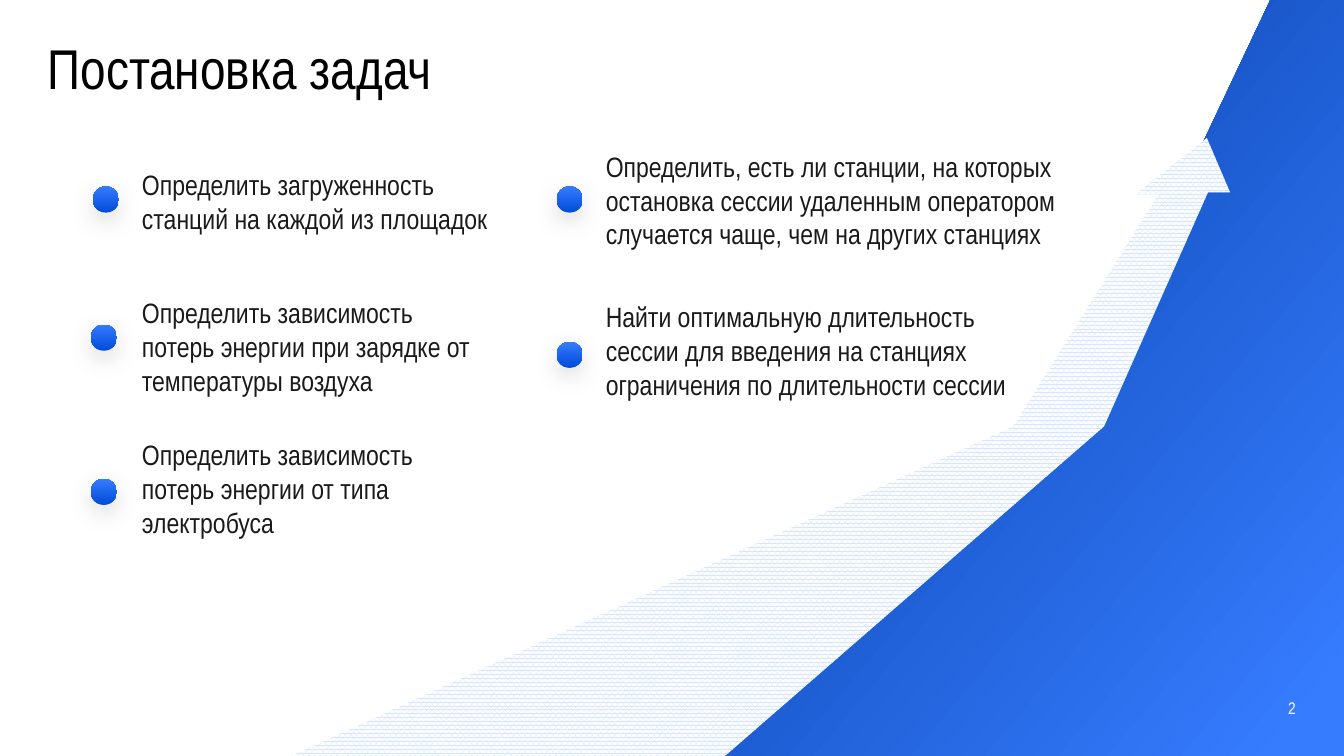
"""Build the task list slide with a rising arrow."""
from lxml import etree
from pptx import Presentation
from pptx import util as u
from pptx.dml.color import RGBColor
from pptx.enum import dml, shapes, text
from pptx.oxml import ns

FONT = "Arial Narrow"
TITLE = "Постановка задач"
TASKS = [
    ("Определить загруженность станций на каждой из площадок",
     (1.31, 1.61, 3.68, 0.77), (0.92, 1.85)),
    ("Определить зависимость потерь энергии при зарядке от температуры воздуха",
     (1.31, 2.88, 3.48, 1.11), (0.9, 3.22)),
    ("Определить зависимость потерь энергии от типа электробуса",
     (1.31, 4.29, 3.48, 1.11), (0.9, 4.75)),
    ("Определить, есть ли станции, на которых остановка сессии "
     "удаленным оператором случается чаще, чем на других станциях",
     (5.91, 1.43, 4.99, 1.11), (5.52, 1.85)),
    ("Найти оптимальную длительность сессии для введения на станциях "
     "ограничения по длительности сессии",
     (5.91, 2.92, 4.32, 1.11), (5.52, 3.39)),
]
FIELD = [(12.6, 0), (13.33, 0), (13.33, 7.5), (6.58, 7.5), (10.61, 4.21)]
ARROW = [(11.97, 1.37), (12.2, 1.91), (11.98, 1.91), (10.95, 4.23), (7.19, 7.5),
         (2.89, 7.5), (10.05, 4.23), (11.49, 1.93), (11.26, 1.93)]
DOT = 0.26


def color(code):
    return RGBColor.from_string(code)


def place(shape, box):
    shape.left, shape.top, shape.width, shape.height = map(u.Inches, box)


def write(shape, words, size=20, ink="1A1A1A", align=text.PP_ALIGN.LEFT,
          anchor=text.MSO_ANCHOR.MIDDLE, lead=1.0):
    frame = shape.text_frame
    frame.word_wrap = True
    frame.auto_size = text.MSO_AUTO_SIZE.NONE
    frame.vertical_anchor = anchor
    para = frame.paragraphs[0]
    para.alignment = align
    para.line_spacing = lead
    run = para.add_run()
    run.text = words
    run.font.name = FONT
    run.font.size = u.Pt(size)
    run.font.color.rgb = color(ink)


def label(slide, words, box, **style):
    shape = slide.shapes.add_textbox(*map(u.Inches, box))
    write(shape, words, **style)


def blend(shape, stops, angle):
    shape.fill.gradient()
    shape.fill.gradient_angle = angle
    for stop, (pos, code) in zip(shape.fill.gradient_stops, stops):
        stop.position = pos
        stop.color.rgb = color(code)


def outline(slide, points):
    spots = [(u.Inches(x), u.Inches(y)) for x, y in points]
    form = slide.shapes.build_freeform(*spots[0])
    form.add_line_segments(spots[1:])
    shape = form.convert_to_shape()
    shape.line.fill.background()
    shape.shadow.inherit = False
    return shape


def shade(shape):
    shape.shadow.inherit = False
    effects = shape.element.spPr.find(ns.qn("a:effectLst"))
    outer = etree.SubElement(effects, ns.qn("a:outerShdw"), blurRad=str(u.Pt(16)),
                             dist=str(u.Pt(6)), dir=str(91 * 60000),
                             algn="t", rotWithShape="0")
    tint = etree.SubElement(outer, ns.qn("a:srgbClr"), val="BFBFBF")
    etree.SubElement(tint, ns.qn("a:alpha"), val="51000")


def main():
    deck = Presentation()
    deck.slide_width, deck.slide_height = u.Inches(13.33), u.Inches(7.5)
    slide = deck.slides.add_slide(deck.slide_layouts[5])

    blend(outline(slide, FIELD), [(0.05, "367CFF"), (1, "00369A")], 140)
    arrow = outline(slide, ARROW)
    arrow.fill.patterned()
    arrow.fill.pattern = dml.MSO_PATTERN.PERCENT_75
    arrow.fill.fore_color.rgb = color("D7E5FF")
    arrow.fill.back_color.rgb = color("FFFFFF")

    title = slide.shapes.title
    place(title, (0.37, 0.35, 11.5, 0.71))
    write(title, TITLE, size=40, ink="000000", lead=0.9)

    for words, box, (x, y) in TASKS:
        label(slide, words, box)
        dot = slide.shapes.add_shape(shapes.MSO_SHAPE.OVAL,
                                     *map(u.Inches, (x, y, DOT, DOT)))
        dot.line.fill.background()
        blend(dot, [(0, "004BD8"), (1, "367CFF")], 90)
        shade(dot)

    label(slide, "2", (9.95, 6.89, 3, 0.29), size=12, ink="FFFFFF",
          align=text.PP_ALIGN.RIGHT, anchor=text.MSO_ANCHOR.TOP, lead=0.9)
    deck.save("out.pptx")


if __name__ == "__main__":
    main()
